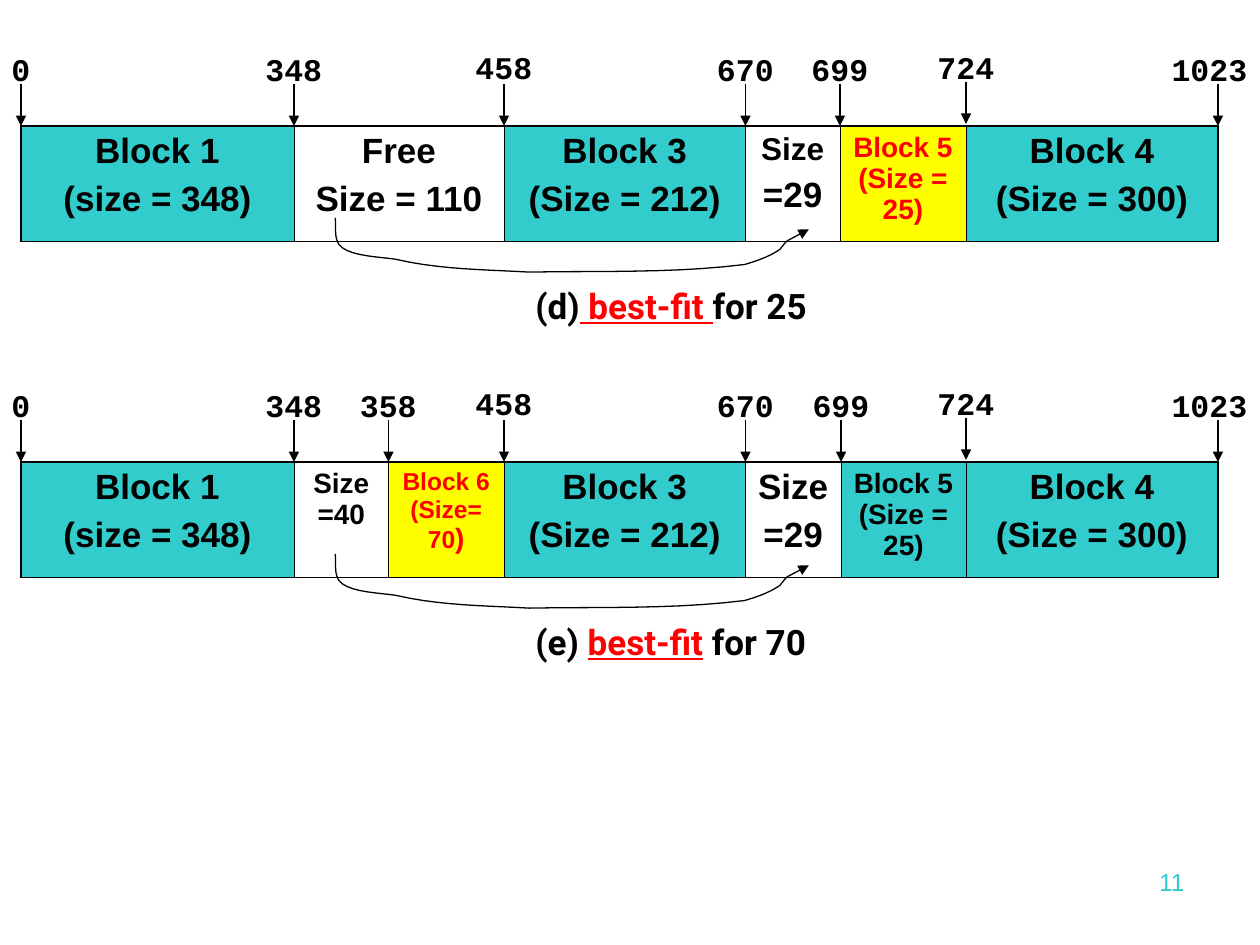
from dataclasses import dataclass
from itertools import accumulate

from lxml.etree import SubElement
from pptx import Presentation
from pptx.dml.color import RGBColor as Rgb
from pptx.enum.shapes import MSO_CONNECTOR as Conn
from pptx.enum.text import MSO_ANCHOR as Anchor, PP_ALIGN as Align
from pptx.oxml.ns import qn
from pptx.util import Inches, Pt


@dataclass(frozen=True)
class Theme:
    """Colours, fonts and sizes of the slide."""
    ink: str = "000000"
    teal: str = "33CCCC"
    yellow: str = "FFFF00"
    red: str = "FF0000"
    body: str = "Arial"
    mono: str = "Courier New"
    caption: str = "Roboto"
    big: int = 20
    label: int = 18
    mid: int = 16
    small: int = 14
    line: float = 0.75
    inner: float = 0.45
    outer: float = 1.08


T = Theme()
WIDTH, HEIGHT = 10, 7.5
COLS, ROWS = 120, 90
SPACE_SHARE = 0.25
CELL_FORMAT = {"margin_left": Inches(0.09), "margin_right": Inches(0.09),
               "vertical_anchor": Anchor.TOP}
CURVE = [(0, 0),
         (0.12, 0.84), (-0.12, 1.8), (0.36, 2.52),
         (1.2, 3.72), (4.68, 3.72), (5.88, 3.96),
         (9.96, 4.92), (14.28, 4.92), (18.48, 5.16),
         (25.32, 5.04), (32.16, 5.28), (39, 4.44),
         (40.2, 4.08), (41.28, 3.72), (42.36, 3),
         (42.84, 2.4), (42.6, 2.64), (43.08, 2.16)]
CURVE_TIP = (45.12, 1.08)

BLOCK_1 = (26, T.teal, [[("Block 1", T.big, T.ink)], [("(size = 348)", T.big, T.ink)]])
BLOCK_3 = (23, T.teal, [[("Block 3", T.big, T.ink)], [("(Size = 212)", T.big, T.ink)]])
BLOCK_4 = (24, T.teal, [[("Block 4", T.big, T.ink)], [("(Size = 300)", T.big, T.ink)]])
FREE_110 = (20, None, [[("Free", T.big, T.ink)], [("Size = 110", T.big, T.ink)]])
FREE_40 = (9, None, [[("Size =40", T.mid, T.ink)]])
BLOCK_6 = (11, T.yellow, [[("Block 6 (Size= 70", T.small, T.red), (")", T.mid, T.red)]])


def free_29(width, size):
    """Describe the 29-unit hole, its first line at the given size."""
    return width, None, [[("Size", size, T.ink)], [("=29", T.big, T.ink)]]


def block_5(width, fill, color):
    """Describe block 5 in the given colours."""
    return width, fill, [[("Block 5 (Size = 25)", T.mid, color)]]


MAPS = [
    (4, [BLOCK_1, FREE_110, BLOCK_3, free_29(9, T.label),
         block_5(12, T.yellow, T.red), BLOCK_4],
     ["0", "348", "458", "670", "699", "724", "1023"],
     ["(d)", " best-fit ", "for 25"]),
    (36, [BLOCK_1, FREE_40, BLOCK_6, BLOCK_3, free_29(9.1, T.big),
          block_5(11.9, T.teal, T.ink), BLOCK_4],
     ["0", "348", "358", "458", "670", "699", "724", "1023"],
     ["(e) ", "best-fit", " for 70"]),
]
RAISED = {"458": 0.2, "724": 0.2}
RAISED_ARROWS = {"724": 0.2}


def gx(col):
    """Turn grid columns into a length."""
    return Inches(col * WIDTH / COLS)


def gy(row):
    """Turn grid rows into a length."""
    return Inches(row * HEIGHT / ROWS)


def add_run(p, text, font, size, color, **extra):
    """Append a formatted run to a paragraph."""
    r = p.add_run()
    r.text = text
    r.font.color.rgb = Rgb.from_string(color)
    for name, value in dict(name=font, size=Pt(size), **extra).items():
        setattr(r.font, name, value)


def add_text(s, box, runs, align=Align.LEFT, wrap=False):
    """Place a one-paragraph text box in a grid box."""
    x, y, w, h = box
    tf = s.shapes.add_textbox(gx(x), gy(y), gx(w), gy(h)).text_frame
    tf.word_wrap = wrap
    p = tf.paragraphs[0]
    p.alignment = align
    for text, fmt in runs:
        add_run(p, text, **fmt)


def style_line(line):
    """Give a line the plain ink stroke."""
    line.color.rgb = Rgb.from_string(T.ink)
    line.width = Pt(T.line)


def add_arrow(s, x1, y1, x2, y2):
    """Draw a straight arrow between two grid points."""
    sp = s.shapes.add_connector(Conn.STRAIGHT, gx(x1), gy(y1), gx(x2), gy(y2))
    style_line(sp.line)
    SubElement(sp._element.spPr.find(qn("a:ln")), qn("a:tailEnd"), type="triangle")
    SubElement(sp._element.spPr, qn("a:effectLst"))


def set_borders(cell, widths):
    """Add left, right, top and bottom borders to a cell."""
    pr = cell._tc.get_or_add_tcPr()
    for i, (side, width) in enumerate(zip("LRTB", widths)):
        ln = pr.makeelement(qn("a:ln" + side), {"w": str(Pt(width))})
        SubElement(SubElement(ln, qn("a:solidFill")), qn("a:srgbClr"), val=T.ink)
        pr.insert(i, ln)


def fill_cell(cell, fill, paras):
    """Set a block's fill and centred lines."""
    if fill:
        cell.fill.solid()
        cell.fill.fore_color.rgb = Rgb.from_string(fill)
    else:
        cell.fill.background()
    for name, value in CELL_FORMAT.items():
        setattr(cell, name, value)
    tf = cell.text_frame
    for i, runs in enumerate(paras):
        p = tf.add_paragraph() if i else tf.paragraphs[0]
        p.alignment = Align.CENTER
        p.space_before = Pt(runs[0][1] * SPACE_SHARE)
        for text, size, color in runs:
            add_run(p, text, T.body, size, color, bold=True)


def add_blocks(s, box, blocks):
    """Build the memory bar as a one-row table."""
    x, y, w, h = box
    table = s.shapes.add_table(1, len(blocks), gx(x), gy(y), gx(w), gy(h)).table
    for name in ("first_row", "horz_banding"):
        setattr(table, name, False)
    last = len(blocks) - 1
    for i, (width, fill, paras) in enumerate(blocks):
        table.columns[i].width = gx(width)
        cell = table.cell(0, i)
        fill_cell(cell, fill, paras)
        set_borders(cell, (T.inner if i else T.outer,
                           T.outer if i == last else T.inner, T.outer, T.outer))


def add_ticks(s, box, widths, addresses):
    """Mark each block boundary with its address and an arrow."""
    x, y, w, h = box
    fmt = dict(font=T.mono, size=T.label, color=T.ink, bold=True)
    for tick, text in zip(accumulate(widths, initial=x), addresses):
        width = 2.4 + 1.8 * len(text)
        left = min(tick - width / 2, COLS - width)
        add_text(s, (left, y + 0.2 - RAISED.get(text, 0), width, 4.8), [(text, fmt)])
        lift = RAISED_ARROWS.get(text, 0)
        add_arrow(s, tick, y + h / 2 - lift, tick, y + h - lift)


def add_curve(s, x, y, steps=10):
    """Draw the allocation curve from hole to hole with its arrow."""
    pts = [(x + dx, y + dy) for dx, dy in CURVE]
    path = []
    for i in range(0, len(pts) - 1, 3):
        for t in (k / steps for k in range(1, steps + 1)):
            weights = ((1 - t) ** 3, 3 * t * (1 - t) ** 2, 3 * t * t * (1 - t), t ** 3)
            px, py = (sum(a * b for a, b in zip(weights, axis)) for axis in zip(*pts[i:i + 4]))
            path.append((gx(px), gy(py)))
    fb = s.shapes.build_freeform(gx(x), gy(y))
    fb.add_line_segments(path, close=False)
    sp = fb.convert_to_shape()
    sp.shadow.inherit = False
    sp.fill.background()
    style_line(sp.line)
    dx, dy = CURVE_TIP
    add_arrow(s, *pts[-1], x + dx, y + dy)


def add_map(s, box, blocks, addresses, caption):
    """Build one memory map with ticks, bar, curve and caption."""
    x, y, w, h = box
    add_blocks(s, (x, y + 8, w, 11), blocks)
    add_ticks(s, (x, y, w, 8), [b[0] for b in blocks], addresses)
    add_curve(s, x + 29.92, y + 16.76)
    base = dict(font=T.caption, size=T.big, color=T.ink, bold=True)
    marked = dict(base, color=T.red, underline=True)
    add_text(s, (x + 47.8, y + h - 5.3, 30.1, 5.3), list(zip(caption, (base, marked, base))))


def main():
    """Build and save the slide."""
    prs = Presentation()
    prs.slide_width, prs.slide_height = Inches(WIDTH), Inches(HEIGHT)
    s = prs.slides.add_slide(prs.slide_layouts[6])
    for top, blocks, addresses, caption in MAPS:
        add_map(s, (2, top, 114, 27.8), blocks, addresses, caption)
    number = dict(font=T.body, size=T.small, color=T.teal)
    add_text(s, (86, 82, 28, 6.25), [("11", number)], Align.RIGHT, True)
    prs.save("out.pptx")


if __name__ == "__main__":
    main()
